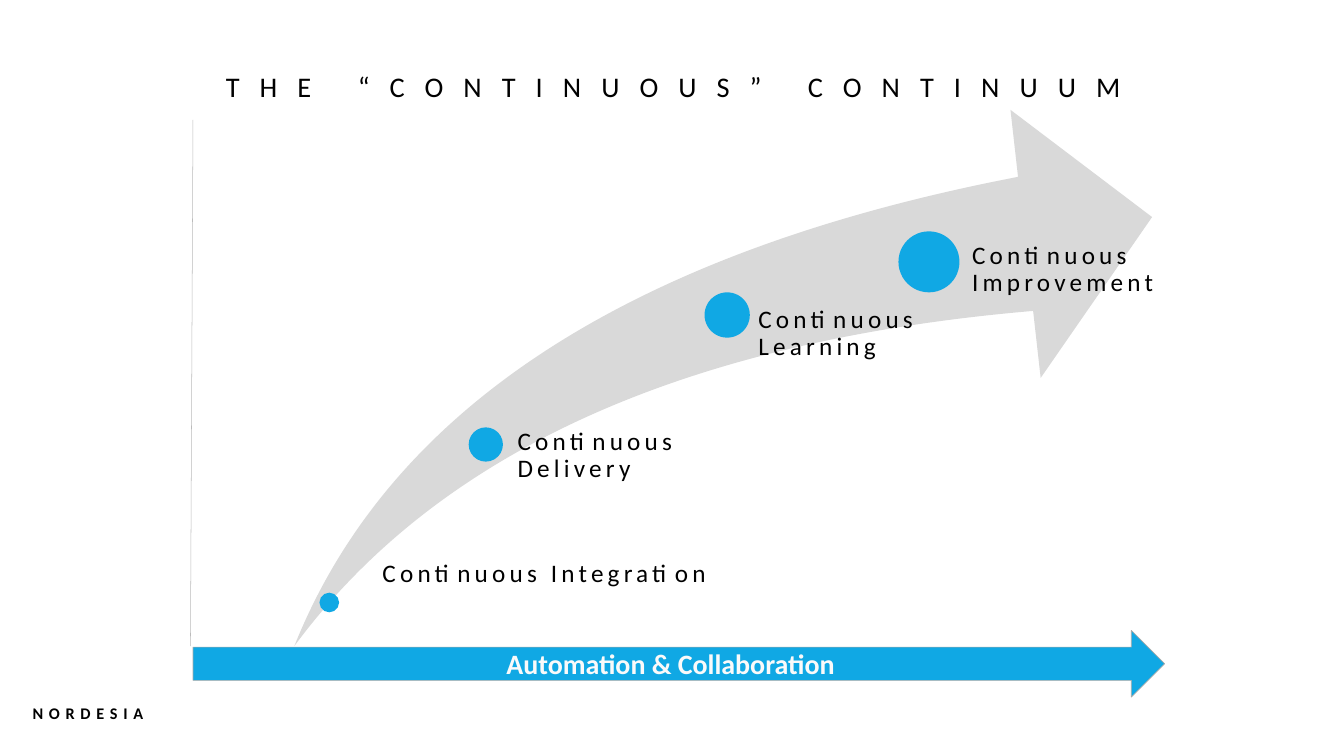
"""Build the slide that shows the continuous continuum as a rising arrow."""
from lxml.etree import SubElement
from pptx import Presentation
from pptx.dml.color import RGBColor
from pptx.enum.shapes import MSO_CONNECTOR, MSO_SHAPE
from pptx.enum.text import MSO_ANCHOR as Anchor, MSO_AUTO_SIZE as AutoSize, PP_ALIGN as Align
from pptx.oxml.ns import qn
from pptx.util import Inches, Pt

WIDTH, HEIGHT = Inches(26.67), Inches(15)
FONT = "Calibri"
BLACK = RGBColor(0x00, 0x00, 0x00)
OFF_WHITE = RGBColor(0xFA, 0xFA, 0xFA)
BLUE = RGBColor(0x10, 0xA8, 0xE4)
SWOOSH_GREY = RGBColor(0xD9, 0xD9, 0xD9)
AXIS_GREY = RGBColor(0xBB, 0xBB, 0xBB)
EDGE_GREY = RGBColor(0xA6, 0xAA, 0xA9)

# Stage: text, dot (left, top, diameter), label (left, top, width, height), label indent
STAGES = [
    ("Continuous Integration", (23.77, 78.4, 1.46), (27.67, 74.2, 25.65, 11.27), 0.79),
    ("Continuous Delivery", (34.87, 56.53, 2.55), (37.16, 56.73, 22.12, 6.13), 1.35),
    ("Continuous Learning", (52.42, 38.67, 3.37), (54.63, 40.6, 17.85, 9.6), 1.8),
    ("Continuous Improvement", (66.85, 30.6, 4.54), (69.93, 32.13, 20.77, 19.2), 2.4),
]


def across(percent):
    """Return a share of the slide's width."""
    return round(WIDTH * percent / 100)


def down(percent):
    """Return a share of the slide's height."""
    return round(HEIGHT * percent / 100)


def box(left, top, width, height):
    """Return a rectangle given in shares of the slide."""
    return across(left), down(top), across(width), down(height)


def write(shape, text, *, size, color=BLACK, bold=False, align=Align.LEFT, anchor=Anchor.TOP,
          line_spacing=1.0, tracking=0, raised=0, indent=None):
    """Write one formatted paragraph into a shape; an indent clears the other margins."""
    frame = shape.text_frame
    frame.word_wrap = True
    frame.auto_size = AutoSize.NONE
    frame.vertical_anchor = anchor
    if indent is not None:
        frame.margin_left = across(indent)
        frame.margin_top = frame.margin_right = frame.margin_bottom = 0
    paragraph = frame.paragraphs[0]
    paragraph.alignment = align
    paragraph.line_spacing = line_spacing
    run = paragraph.add_run()
    run.text = text
    font = run.font
    font.name, font.size, font.bold = FONT, Pt(size), bold
    font.color.rgb = color
    properties = run._r.get_or_add_rPr()
    if tracking:
        properties.set("spc", str(round(tracking * 100)))
    if raised:
        properties.set("baseline", str(raised * 1000))


def add_filled(slide, kind, bounds, fill, edge=None):
    """Add a flat preset shape with an optional thin edge."""
    shape = slide.shapes.add_shape(kind, *bounds)
    shape.shadow.inherit = False
    shape.fill.solid()
    shape.fill.fore_color.rgb = fill
    if edge is None:
        shape.line.fill.background()
    else:
        shape.line.color.rgb = edge
        shape.line.width = Pt(1)
    return shape


def add_title(slide, text):
    """Place and fill the title placeholder."""
    title = slide.shapes.title
    title.left, title.top, title.width, title.height = box(6.37, 9.93, 87.48, 9.8)
    write(title, text, size=70, align=Align.CENTER, line_spacing=0.8,
          tracking=28.7, raised=30, indent=0)


def add_stage(slide, text, dot, label, indent):
    """Add a round marker and its label."""
    left, top, diameter = dot
    bounds = across(left), down(top), across(diameter), across(diameter)
    add_filled(slide, MSO_SHAPE.OVAL, bounds, BLUE)
    write(slide.shapes.add_textbox(*box(*label)), text, size=36, line_spacing=0.9,
          tracking=6, indent=indent)


def add_axis(slide):
    """Add the thin line at the left of the swoosh."""
    axis = slide.shapes.add_connector(MSO_CONNECTOR.STRAIGHT, across(14.17), down(85.47),
                                      across(14.36), down(15.87))
    axis.line.color.rgb = AXIS_GREY
    axis.line.width = Pt(0.75)
    SubElement(axis._element.spPr, qn("a:effectLst"))


def main():
    """Build and save the presentation."""
    presentation = Presentation()
    presentation.slide_width, presentation.slide_height = WIDTH, HEIGHT
    slide = presentation.slides.add_slide(presentation.slide_layouts[5])
    add_title(slide, "THE “CONTINUOUS” CONTINUUM")
    swoosh = add_filled(slide, MSO_SHAPE.SWOOSH_ARROW, box(21.9, 14.53, 63.82, 70.93), SWOOSH_GREY)
    swoosh.adjustments[0] = swoosh.adjustments[1] = 0.25
    for stage in STAGES:
        add_stage(slide, *stage)
    add_axis(slide)
    base = add_filled(slide, MSO_SHAPE.RIGHT_ARROW, box(14.36, 83.4, 72.29, 8.8), BLUE, EDGE_GREY)
    write(base, "Automation & Collaboration", size=40, color=OFF_WHITE, bold=True,
          align=Align.CENTER, anchor=Anchor.MIDDLE)
    footer = slide.shapes.add_textbox(*box(2.06, 92.6, 21.75, 4.2))
    write(footer, "NORDESIA", size=40, bold=True, line_spacing=0.8, tracking=8.2, raised=15)
    presentation.save("out.pptx")


if __name__ == "__main__":
    main()
